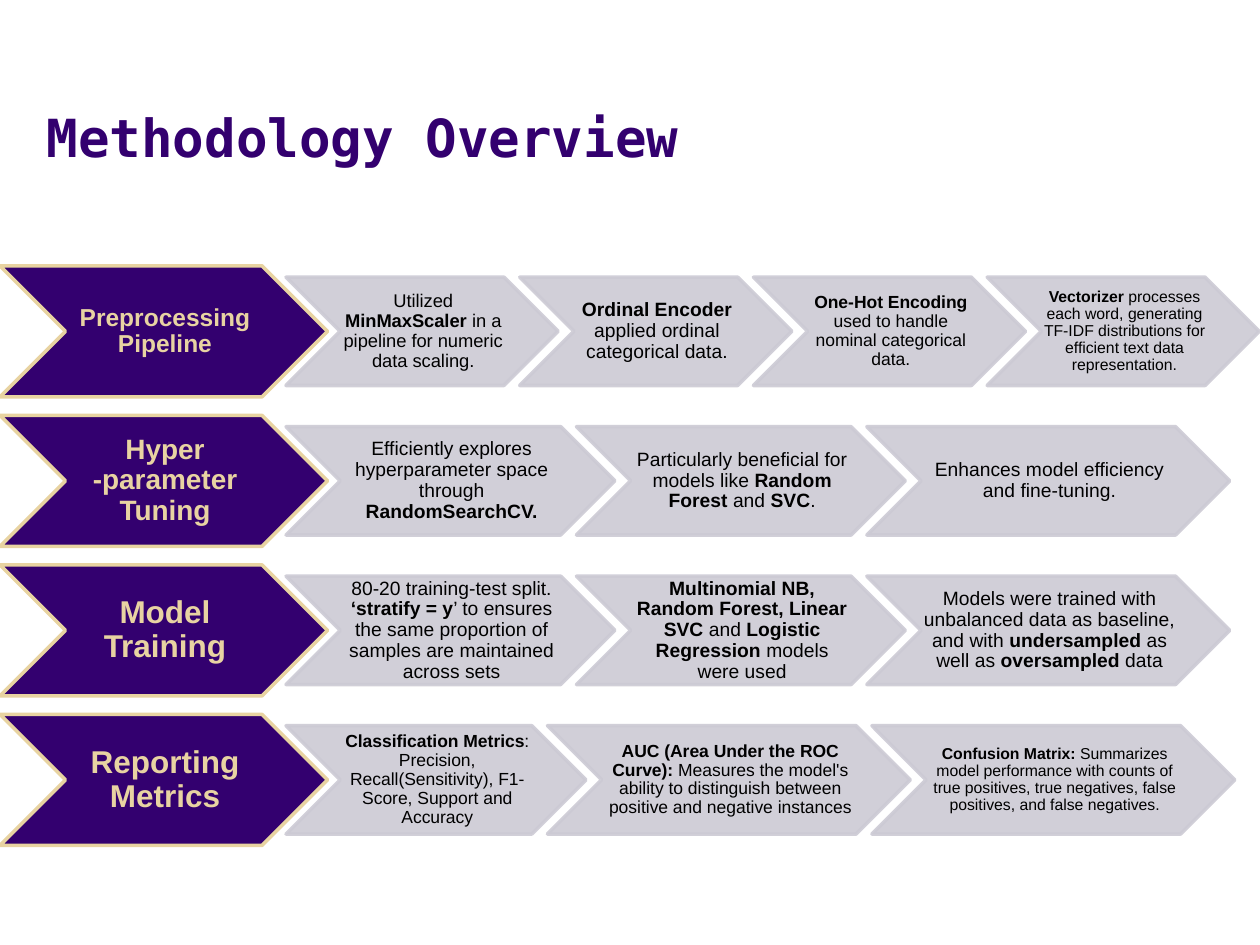
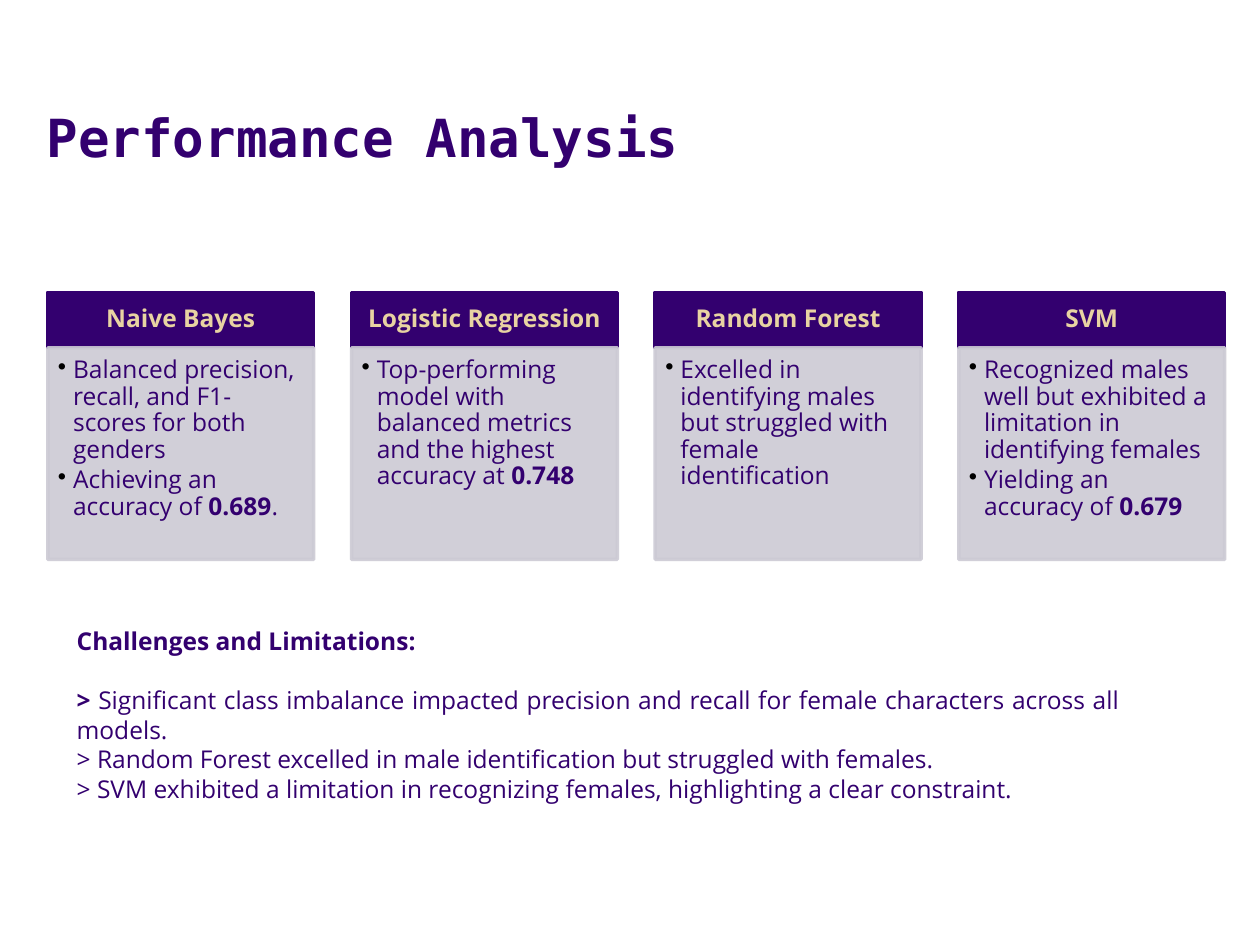
import dataclasses

import lxml.etree
import pptx
import pptx.dml.color
import pptx.enum.shapes
import pptx.enum.text
import pptx.oxml.ns
import pptx.util

ALIGN = pptx.enum.text.PP_ALIGN
ANCHOR = pptx.enum.text.MSO_ANCHOR
SHAPE = pptx.enum.shapes.MSO_SHAPE
qn = pptx.oxml.ns.qn

# Shared style
PURPLE, GOLD, PALE_GOLD = "33006F", "E8D3A1", "E8D3A2"
GREY, BLACK = "CCCAD4", "000000"
TITLE_FONT, STEP_FONT, BODY_FONT = "DejaVu Sans Mono", "Arial", "Open Sans"
GREY_OPACITY = 90

# The page is a grid of 100 columns by 75 rows
WIDTH, HEIGHT = pptx.util.Inches(10), pptx.util.Inches(7.5)
COLUMNS, ROWS = 100, 75


@dataclasses.dataclass
class Box:
    """An area in grid columns and rows."""
    left: float
    top: float
    width: float
    height: float

    def lengths(self):
        return (round(self.left * WIDTH / COLUMNS), round(self.top * HEIGHT / ROWS),
                round(self.width * WIDTH / COLUMNS), round(self.height * HEIGHT / ROWS))


# Each row: heading, its size, then steps of (columns wide, size, text); *bold*
METHOD_ROWS = [
    ("Preprocessing Pipeline", 14, [
        (21.6, 10.5, "Utilized *MinMaxScaler* in a pipeline for numeric data scaling."),
        (21.6, 11, "*Ordinal Encoder *applied ordinal categorical data."),
        (21.6, 10, "*One-Hot Encoding *used to handle nominal categorical data."),
        (21.6, 9, "*Vectorizer* processes each word, generating TF-IDF distributions "
                  "for efficient text data representation."),
    ]),
    ("Hyper -parameter Tuning", 16, [
        (26.1, 11, "Efficiently explores hyperparameter space through *RandomSearchCV.*"),
        (26.1, 11, "Particularly beneficial for models like *Random Forest* and *SVC*."),
        (28.8, 11, "Enhances model efficiency and fine-tuning."),
    ]),
    ("Model Training", 18, [
        (26.1, 11, "80-20 training-test split. *‘stratify = y*’ to ensures the same "
                   "proportion of samples are maintained across sets"),
        (26.1, 11, "*Multinomial NB, Random Forest, Linear SVC* and "
                   "*Logistic Regression* models were used"),
        (28.8, 11, "Models were trained with unbalanced data as baseline, and with "
                   "*undersampled* as well as *oversampled* data"),
    ]),
    ("Reporting Metrics", 18, [
        (23.8, 10, "*Classification Metrics*: Precision, Recall(Sensitivity), "
                   "F1-Score, Support and Accuracy"),
        (28.8, 10, "*AUC (Area Under the ROC Curve):* Measures the model's ability to "
                   "distinguish between positive and negative instances"),
        (28.8, 9, "*Confusion Matrix:* Summarizes model performance with counts of true "
                  "positives, true negatives, false positives, and false negatives."),
    ]),
]

MODEL_CARDS = [
    ("Naive Bayes", ["Balanced precision, recall, and F1-scores for both genders",
                     "Achieving an accuracy of *0.689*."]),
    ("Logistic Regression", ["Top-performing model with balanced metrics and the highest "
                             "accuracy at *0.748*"]),
    ("Random Forest", ["Excelled in identifying males but struggled with female "
                       "identification"]),
    ("SVM", ["Recognized males well but exhibited a limitation in identifying females",
             "Yielding an accuracy of *0.679*"]),
]

CHALLENGES = [
    "*Challenges and Limitations:*",
    "*> *Significant class imbalance impacted precision and recall for female "
    "characters across all models.",
    "> Random Forest excelled in male identification but struggled with females.",
    "> SVM exhibited a limitation in recognizing females, highlighting a clear constraint.",
]


def color(value):
    return pptx.dml.color.RGBColor.from_string(value)


def set_frame(frame, insets, anchor=ANCHOR.MIDDLE):
    frame.word_wrap = True
    frame.vertical_anchor = anchor
    frame.margin_left, frame.margin_top, frame.margin_right, frame.margin_bottom = map(
        pptx.util.Inches, insets)


def add_bullet(para):
    props = para._p.get_or_add_pPr()
    indent = pptx.util.Inches(0.12)
    props.set("marL", str(indent))
    props.set("indent", str(-indent))
    bullet_color = lxml.etree.SubElement(props, qn("a:buClr"))
    lxml.etree.SubElement(bullet_color, qn("a:srgbClr"), val=BLACK)
    lxml.etree.SubElement(props, qn("a:buChar"), char="•")


def write(frame, texts, font, size, ink, align=ALIGN.CENTER, spacing=0.9, bullets=False):
    """One paragraph per text; parts between asterisks are bold."""
    for index, text in enumerate(texts):
        para = frame.add_paragraph() if index else frame.paragraphs[0]
        if bullets:
            add_bullet(para)
        para.alignment = align
        para.line_spacing = spacing
        for part, words in enumerate(text.split("*")):
            if words:
                span = para.add_run()
                span.text = words
                span.font.name = font
                span.font.size = pptx.util.Pt(size)
                span.font.bold = part % 2 == 1
                span.font.color.rgb = color(ink)


def add_panel(page, kind, box, fill, line, opacity=100):
    panel = page.shapes.add_shape(kind, *box.lengths())
    panel.shadow.inherit = False
    panel.fill.solid()
    panel.fill.fore_color.rgb = color(fill)
    panel.line.color.rgb = color(line)
    panel.line.width = pptx.util.Pt(2)
    if opacity < 100:
        for tint in panel._element.spPr.iter(qn("a:srgbClr")):
            lxml.etree.SubElement(tint, qn("a:alpha"), val=str(opacity * 1000))
    return panel


def add_title(page, text):
    frame = page.shapes.add_textbox(*Box(2.7, 3, 89.5, 10.8).lengths()).text_frame
    set_frame(frame, (0.1, 0.05, 0.1, 0.05), ANCHOR.BOTTOM)
    write(frame, [f"*{text}*"], TITLE_FONT, 30, PURPLE, ALIGN.LEFT, 1)


# Methodology: a heading chevron followed by overlapping step chevrons
def add_chevron_row(page, box, heading, heading_size, steps):
    insets = (0.02, 0.01, 0, 0.01)
    heading_width, step_height = 26, 8.6
    lead_overlap, step_overlap = 3.3, 3.05

    lead = add_panel(page, SHAPE.CHEVRON,
                     Box(box.left, box.top, heading_width, box.height), PURPLE, GOLD)
    set_frame(lead.text_frame, insets)
    write(lead.text_frame, [f"*{heading}*"], STEP_FONT, heading_size, PALE_GOLD)

    left = box.left + heading_width - lead_overlap
    top = box.top + (box.height - step_height) / 2
    for width, size, text in steps:
        step = add_panel(page, SHAPE.CHEVRON, Box(left, top, width, step_height),
                         GREY, GREY, GREY_OPACITY)
        set_frame(step.text_frame, insets)
        write(step.text_frame, [text], STEP_FONT, size, BLACK)
        left += width - step_overlap


def build_methodology(page, box):
    add_title(page, "Methodology Overview")
    row_height = 10.4
    pitch = (box.height - row_height) / (len(METHOD_ROWS) - 1)
    for index, row in enumerate(METHOD_ROWS):
        add_chevron_row(page, Box(box.left, box.top + index * pitch, box.width, row_height),
                        *row)


# Performance: model cards above the list of challenges
def add_model_card(page, box, model, findings):
    header_height = 4.4
    header = add_panel(page, SHAPE.RECTANGLE,
                       Box(box.left, box.top, box.width, header_height), PURPLE, PURPLE)
    set_frame(header.text_frame, (0.11, 0.06, 0.11, 0.06))
    write(header.text_frame, [f"*{model}*"], BODY_FONT, 14, PALE_GOLD)

    body = add_panel(page, SHAPE.RECTANGLE,
                     Box(box.left, box.top + header_height, box.width,
                         box.height - header_height), GREY, GREY, GREY_OPACITY)
    set_frame(body.text_frame, (0.08, 0.08, 0.11, 0.12), ANCHOR.TOP)
    write(body.text_frame, findings, BODY_FONT, 14, PURPLE, ALIGN.LEFT, bullets=True)
    for para in body.text_frame.paragraphs[1:]:
        para.space_before = pptx.util.Pt(2.1)


def add_challenges(page, box):
    frame = page.shapes.add_textbox(*box.lengths()).text_frame
    set_frame(frame, (0.1, 0.05, 0.1, 0.05), ANCHOR.TOP)
    write(frame, CHALLENGES, BODY_FONT, 14, PURPLE, ALIGN.JUSTIFY, 1)
    frame.paragraphs[1].space_before = pptx.util.Pt(17)


def build_performance(page, box):
    add_title(page, "Performance Analysis")
    card_width, card_height = 21.1, 21.2
    pitch = (box.width - card_width) / (len(MODEL_CARDS) - 1)
    for index, card in enumerate(MODEL_CARDS):
        add_model_card(page, Box(box.left + index * pitch, box.top, card_width, card_height),
                       *card)
    add_challenges(page, Box(box.left + 1.3, box.top + 26, 84.8, 17.5))


def main():
    deck = pptx.Presentation()
    deck.slide_width, deck.slide_height = WIDTH, HEIGHT
    blank = deck.slide_layouts[6]
    build_methodology(deck.slides.add_slide(blank), Box(0, 21.1, 100, 46))
    build_performance(deck.slides.add_slide(blank), Box(3.8, 23.2, 93.4, 43.5))
    deck.save("out.pptx")


if __name__ == "__main__":
    main()
